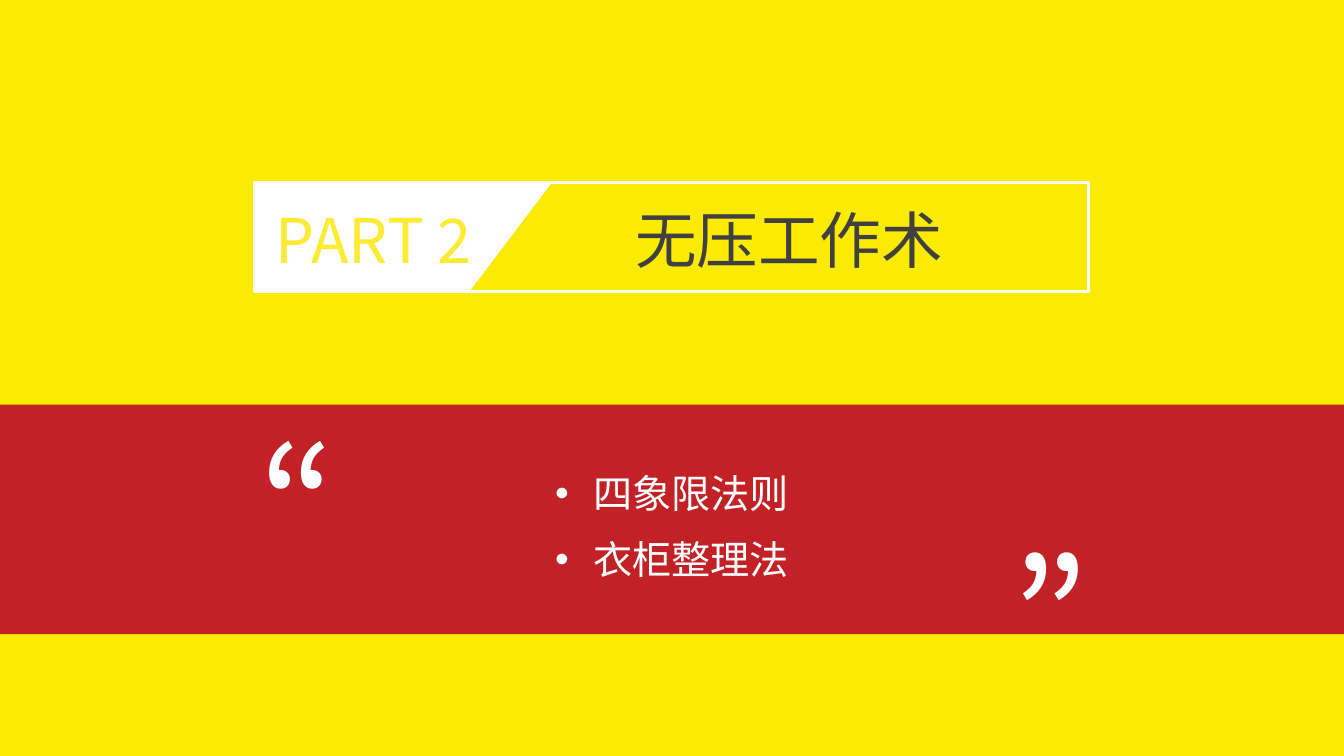
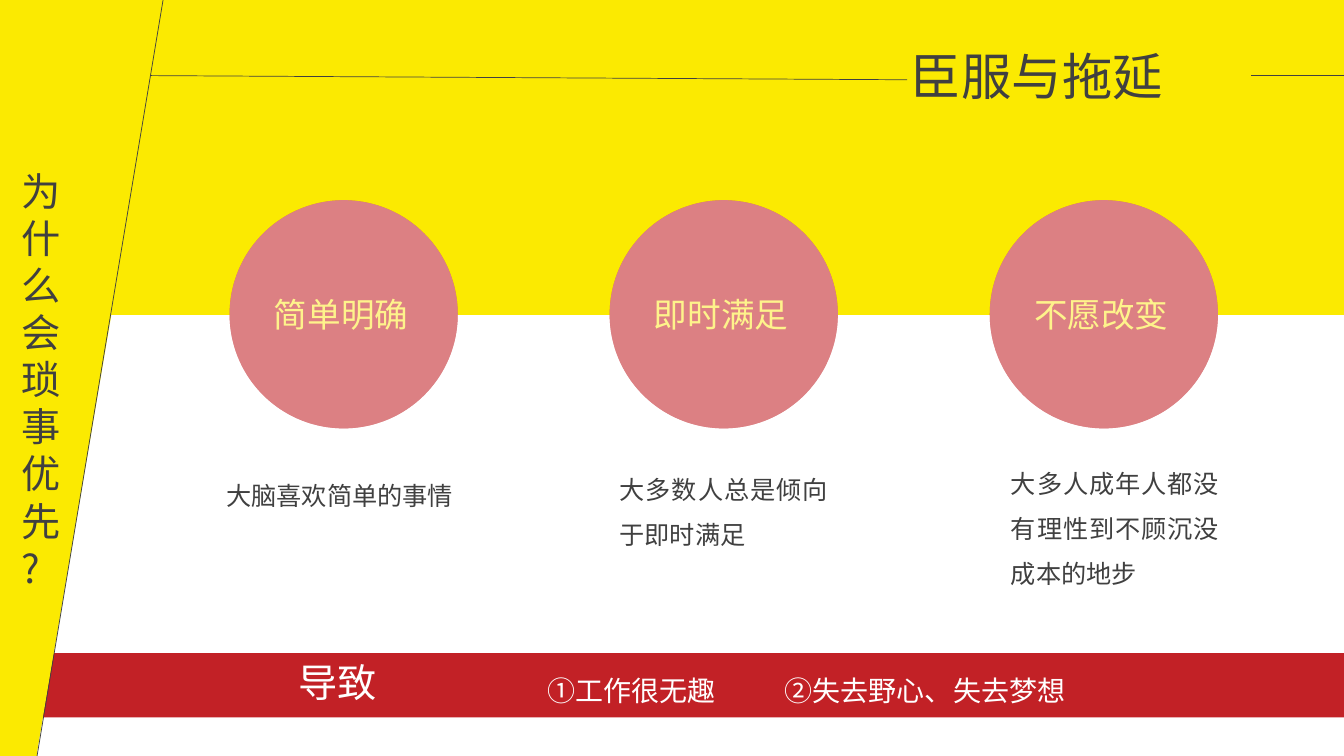
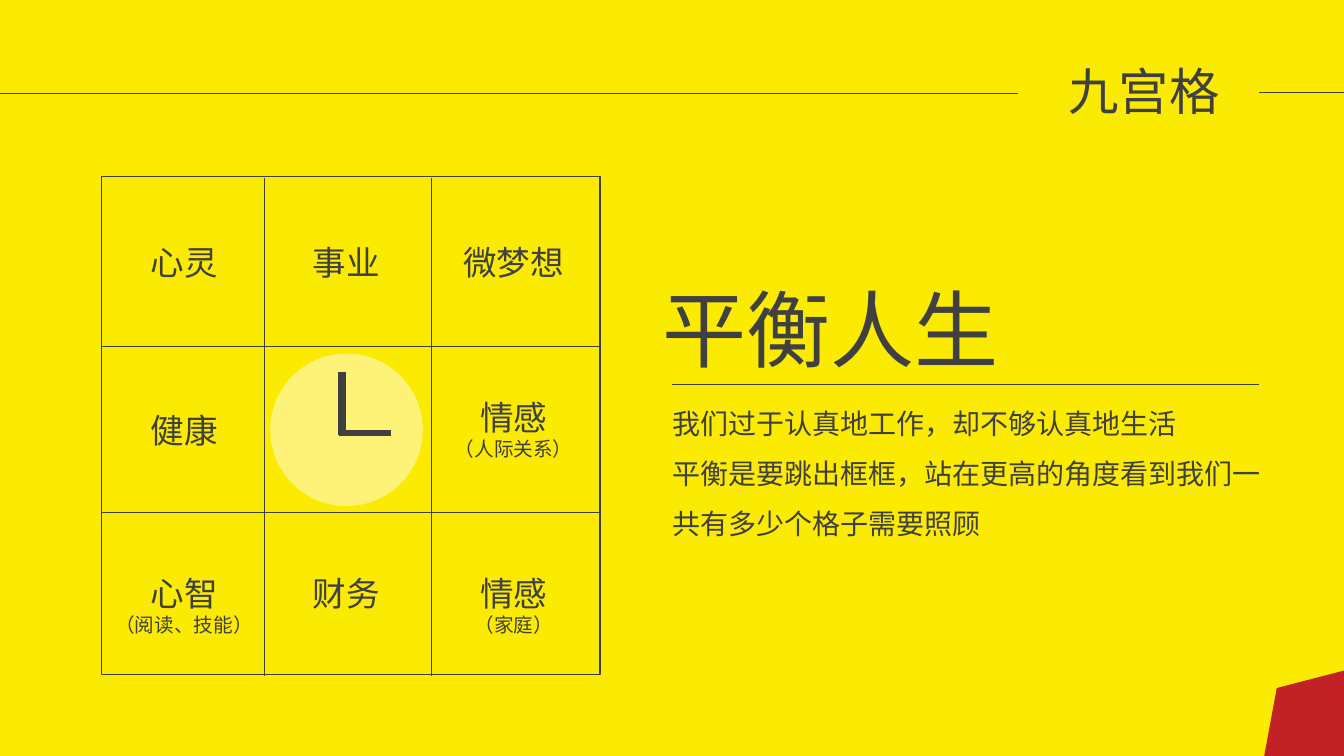
from collections import namedtuple

from lxml import etree
from pptx import Presentation
from pptx.dml.color import RGBColor
from pptx.enum.shapes import MSO_CONNECTOR, MSO_SHAPE
from pptx.enum.text import PP_ALIGN
from pptx.oxml.ns import qn
from pptx.util import Pt

YELLOW = RGBColor(0xFB, 0xEA, 0x01)
PALE_YELLOW = RGBColor(0xFE, 0xEB, 0x34)
RED = RGBColor(0xC2, 0x21, 0x26)
WHITE = RGBColor(0xFF, 0xFF, 0xFF)
GRAY = RGBColor(0x40, 0x40, 0x40)

FONT = "Noto Sans CJK SC"
QUOTE_FONT = "Noto Sans CJK JP"
WIDTH, HEIGHT = 960, 540

Box = namedtuple("Box", "left top width height")


def add_slide(presentation):
    slide = presentation.slides.add_slide(presentation.slide_layouts[6])
    slide.background.fill.solid()
    slide.background.fill.fore_color.rgb = YELLOW
    return slide


def style_shape(shape, fill=None, line=None, line_width=1, opacity=None):
    """Set fill and outline; opacity is a percentage of the fill."""
    shape.shadow.inherit = False
    if fill is None:
        shape.fill.background()
    else:
        shape.fill.solid()
        shape.fill.fore_color.rgb = fill
    if opacity is not None:
        color = shape.fill._xPr.find(qn("a:solidFill"))[0]
        etree.SubElement(color, qn("a:alpha")).set("val", str(opacity * 1000))
    if line is None:
        shape.line.fill.background()
    else:
        shape.line.color.rgb = line
        shape.line.width = Pt(line_width)


def add_box(slide, kind, box, **style):
    shape = slide.shapes.add_shape(kind, *(Pt(length) for length in box))
    style_shape(shape, **style)


def add_polygon(slide, points, fill):
    start, *rest = [(Pt(x), Pt(y)) for x, y in points]
    builder = slide.shapes.build_freeform(*start)
    builder.add_line_segments(rest, close=True)
    style_shape(builder.convert_to_shape(), fill=fill)


def add_line(slide, start, end, width=0.5):
    connector = slide.shapes.add_connector(
        MSO_CONNECTOR.STRAIGHT, *(Pt(value) for value in (*start, *end)))
    connector.line.color.rgb = GRAY
    connector.line.width = Pt(width)
    etree.SubElement(connector._element.spPr, qn("a:effectLst"))


def add_bullet(paragraph, indent):
    properties = paragraph._p.get_or_add_pPr()
    properties.set("marL", str(Pt(indent)))
    properties.set("indent", str(-Pt(indent)))
    etree.SubElement(properties, qn("a:buFont")).set("typeface", "Arial")
    etree.SubElement(properties, qn("a:buChar")).set("char", "•")


def add_text(slide, box, lines, size, color=GRAY, align=PP_ALIGN.LEFT,
             spacing=None, bullet_indent=None, font=FONT):
    """Add one paragraph per line; a line is a text or a (text, size) pair."""
    shape = slide.shapes.add_textbox(*(Pt(length) for length in box))
    frame = shape.text_frame
    frame.word_wrap = True
    for index, line in enumerate(lines):
        text, text_size = line if isinstance(line, tuple) else (line, size)
        paragraph = frame.paragraphs[0] if index == 0 else frame.add_paragraph()
        paragraph.alignment = align
        if spacing:
            paragraph.line_spacing = spacing
        if bullet_indent:
            add_bullet(paragraph, bullet_indent)
        run = paragraph.add_run()
        run.text = text
        run.font.size = Pt(text_size)
        run.font.color.rgb = color
        run.font.name = font
        east_asian = etree.Element(qn("a:ea"), typeface=font)
        run.font._element.find(qn("a:latin")).addnext(east_asian)
    return shape


def add_title(slide, left, top, text, left_line, right_line):
    """Add a slide title between two thin rules."""
    for start, end in (left_line, right_line):
        add_line(slide, start, end)
    add_text(slide, Box(left, top, WIDTH - left, 51), [text], 36)


def add_part_label(slide, box, part, title):
    left, top, width, height = box
    add_box(slide, MSO_SHAPE.RECTANGLE, box, line=WHITE, line_width=2)
    add_polygon(slide, [(left, top), (left + 212, top),
                        (left + 153, top + height), (left, top + height)], WHITE)
    # The upper edge of the flag slants out to the divider.
    add_polygon(slide, [(left + 153, top), (left + 212, top),
                        (left + 153, top + height)], WHITE)
    add_text(slide, Box(left + 8, top + 10, 196, 60), [part], 44, PALE_YELLOW)
    add_text(slide, Box(left + 264.5, top + 10, width - 264.5, 60), [title], 44)


def add_quote_band(slide, box, topics):
    left, top, width, height = box
    add_box(slide, MSO_SHAPE.RECTANGLE, box, fill=RED)
    add_text(slide, Box(left + 188, top + 29.5, 584, 97), topics, 28, WHITE,
             PP_ALIGN.CENTER, spacing=1.4, bullet_indent=27)
    for x, y, rotation in ((178, -3, 0), (714, 22, 180)):
        mark = add_text(slide, Box(left + x, top + y, 70.5, 147), ["“"], 115,
                        WHITE, font=QUOTE_FONT)
        mark.rotation = rotation


def add_reason(slide, box, label, note, note_box):
    """Add a veiled circle with its label, and the note below it."""
    left, top, width, height = box
    add_box(slide, MSO_SHAPE.OVAL, box, fill=RED)
    add_text(slide, Box(left + 24.5, top + 63.5, 115, 36), [label], 24, PALE_YELLOW)
    add_box(slide, MSO_SHAPE.OVAL, box, fill=WHITE, opacity=43)
    x, y, note_width = note_box
    add_text(slide, Box(left + x, top + height + y, note_width, 102), [note], 18,
             align=PP_ALIGN.JUSTIFY, spacing=1.5)


def add_result_band(slide, box, heading, results):
    left, top, width, height = box
    add_box(slide, MSO_SHAPE.RECTANGLE, box, fill=RED)
    add_text(slide, Box(left + 179.5, top + 0.5, 140, 41), [heading], 28, WHITE)
    for x, result in results:
        add_text(slide, Box(left + x, top - 1, 260, 40), [result], 20, WHITE,
                 spacing=1.5)


def add_side_question(slide, question):
    left, top = 26, 225
    add_polygon(slide, [(left, top), (left + 53.5, top), (left, HEIGHT)], YELLOW)
    add_text(slide, Box(8.5, 116, 34, 312), [question], 28)
    add_line(slide, (116.5, 0), (26.5, HEIGHT))


def add_clock(slide, box):
    left, top, width, height = box
    add_box(slide, MSO_SHAPE.OVAL, box, fill=WHITE, opacity=47)
    add_line(slide, (left + 51, top + 13), (left + 51, top + 58.5), 5.75)
    add_line(slide, (left + 86.5, top + 57), (left + 49, top + 57), 4)


def add_life_grid(slide, box):
    left, top, width, height = box
    columns, rows = (0, 116, 235.5), (0, 121.5, 240)
    add_box(slide, MSO_SHAPE.RECTANGLE, box, line=GRAY)
    for x in columns[1:]:
        add_line(slide, (left + x, top + 1), (left + x, top + height + 1))
    for y in rows[1:]:
        add_line(slide, (left, top + y), (left + width, top + y))

    cells = [
        (0, 0, 43.5, ["心灵"]),
        (1, 0, 43.5, ["事业"]),
        (2, 0, 43.5, ["微梦想"]),
        (0, 1, 42, ["健康"]),
        (2, 1, 32.5, ["情感", ("（人际关系）", 14)]),
        (0, 2, 39.5, ["心智", ("（阅读、技能）", 14)]),
        (1, 2, 39.5, ["财务"]),
        (2, 2, 39.5, ["情感", ("（家庭）", 14)]),
    ]
    for column, row, offset, lines in cells:
        cell = Box(left + columns[column] + 1, top + rows[row] + offset, 116, 53)
        add_text(slide, cell, lines, 24, align=PP_ALIGN.CENTER)
    add_clock(slide, Box(left + 120.5, top + 126.5, 109, 109))


def add_message(slide, box, heading, lines):
    left, top, width, height = box
    add_text(slide, Box(left - 7, top - 80, 270, 80), [heading], 60)
    add_line(slide, (left + 7, top), (left + 426, top))
    add_text(slide, box, lines, 20, spacing=1.5)


def build_part_slide(presentation):
    slide = add_slide(presentation)
    add_quote_band(slide, Box(0, 289, WIDTH, 164), ["四象限法则", "衣柜整理法"])
    add_part_label(slide, Box(182, 130.5, 595.5, 78), "PART 2", "无压工作术")


def build_reasons_slide(presentation):
    slide = add_slide(presentation)
    left = 26.5
    add_box(slide, MSO_SHAPE.RECTANGLE,
            Box(left, 225, WIDTH - left, HEIGHT - 225), fill=WHITE)
    add_result_band(slide, Box(left, 466.5, WIDTH - left, 46), "导致",
                    [(357.5, "①工作很无趣"), (527, "②失去野心、失去梦想")])
    reasons = [
        ("简单明确", "大脑喜欢简单的事情", (-9.5, 23, 182)),
        ("即时满足", "大多数人总是倾向于即时满足", (0, 18.5, 163)),
        ("不愿改变", "大多人成年人都没有理性到不顾沉没成本的地步", (8, 14, 163)),
    ]
    for index, reason in enumerate(reasons):
        add_reason(slide, Box(164 + 271.5 * index, 143, 163, 163), *reason)
    add_side_question(slide, "为什么会琐事优先?")
    add_title(slide, 643.5, 29, "臣服与拖延",
              ((107.5, 54), (648, 57)), ((893.5, 54), (WIDTH, 54)))


def build_grid_slide(presentation):
    slide = add_slide(presentation)
    add_title(slide, 756, 39.5, "九宫格",
              ((0, 67), (727, 67)), ((899.5, 66), (WIDTH, 66)))
    add_life_grid(slide, Box(72.5, 126, 356, 356))
    add_message(slide, Box(473, 274.5, 443.5, 116.5), "平衡人生", [
        "我们过于认真地工作，却不够认真地生活",
        "平衡是要跳出框框，站在更高的角度看到我们一共有多少个格子需要照顾",
    ])
    add_polygon(slide, [(912, 491.5), (WIDTH, 479), (WIDTH, HEIGHT),
                        (903, HEIGHT)], RED)


def main():
    presentation = Presentation()
    presentation.slide_width = Pt(WIDTH)
    presentation.slide_height = Pt(HEIGHT)
    build_part_slide(presentation)
    build_reasons_slide(presentation)
    build_grid_slide(presentation)
    presentation.save("out.pptx")


if __name__ == "__main__":
    main()
